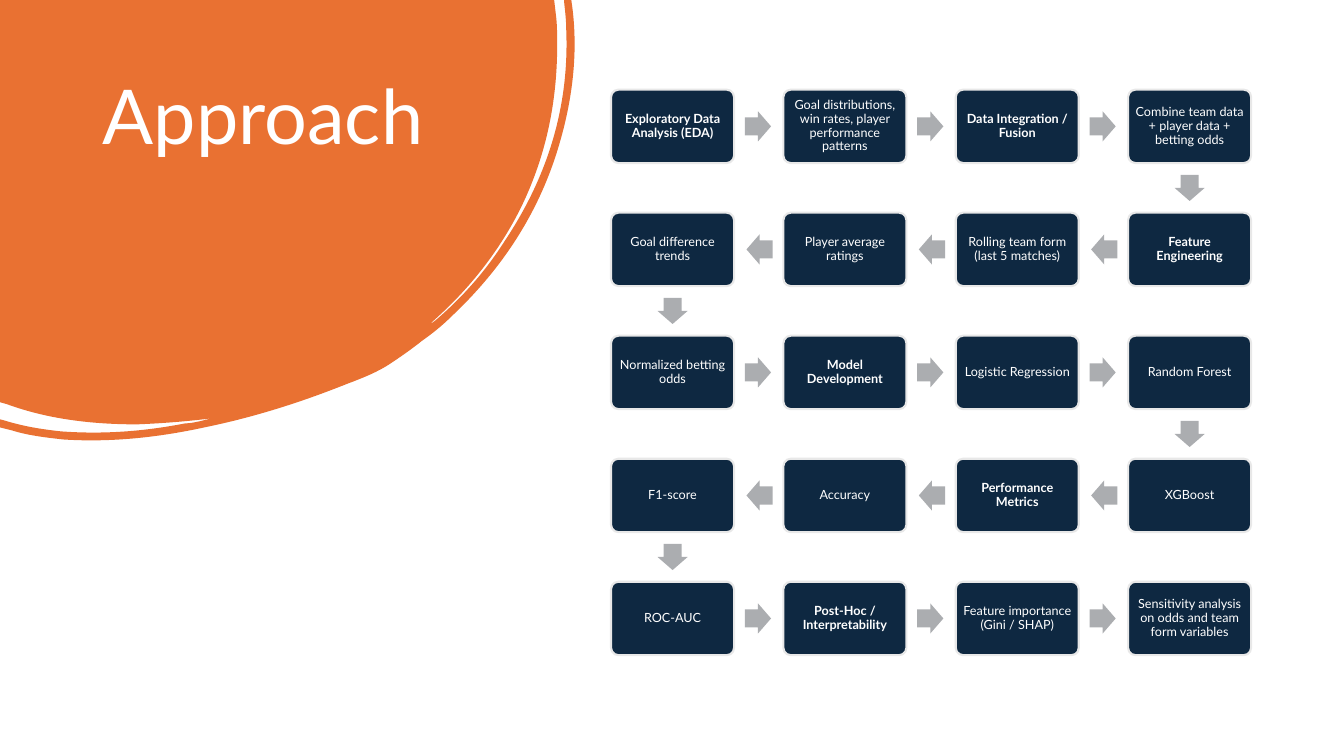
import pptx
import pptx.util
import pptx.dml.color
import pptx.enum.shapes
import pptx.enum.text
import pptx.oxml.ns
import pptx.oxml.xmlchemy

Cm = pptx.util.Cm
Pt = pptx.util.Pt
RGBColor = pptx.dml.color.RGBColor
MSO_SHAPE = pptx.enum.shapes.MSO_SHAPE

ORANGE = RGBColor(0xE9, 0x71, 0x32)
NAVY = RGBColor(0x0E, 0x28, 0x41)
ARROW_GRAY = RGBColor(0xAB, 0xAD, 0xB0)
BORDER_GRAY = RGBColor(0xE8, 0xE8, 0xE8)
WHITE = RGBColor(0xFF, 0xFF, 0xFF)
FONT = "Lato"

STEPS = [
    ("Exploratory Data Analysis (EDA)", True),
    ("Goal distributions, win rates, player performance patterns", False),
    ("Data Integration / Fusion", True),
    ("Combine team data + player data + betting odds", False),
    ("Feature Engineering", True),
    ("Rolling team form (last 5 matches)", False),
    ("Player average ratings", False),
    ("Goal difference trends", False),
    ("Normalized betting odds", False),
    ("Model Development", True),
    ("Logistic Regression", False),
    ("Random Forest", False),
    ("XGBoost", False),
    ("Performance Metrics", True),
    ("Accuracy", False),
    ("F1-score", False),
    ("ROC-AUC", False),
    ("Post-Hoc / Interpretability", True),
    ("Feature importance (Gini / SHAP)", False),
    ("Sensitivity analysis on odds and team form variables", False),
]
COLUMNS = 4
ROWS = len(STEPS) // COLUMNS
STEP_WIDTH, STEP_HEIGHT = Cm(3.1), Cm(1.85)
ARROW_WIDTH, ARROW_HEIGHT = Cm(0.66), Cm(0.76)
ARROW_SHIFT = Cm(0.02)

BLOB_SIZE = (5.71, 4.37)
BLOB_SEGMENTS = [
    [(0, 0)],
    [(5.5, 0)],
    [(5.52, 0.17)],
    [(5.53, 0.26), (5.53, 0.36), (5.53, 0.45)],
    [(5.53, 1.01), (5.42, 1.54), (5.18, 2.04)],
    [(4.96, 2.49), (4.65, 2.88), (4.27, 3.21)],
    [(4.29, 3.21), (4.3, 3.19), (4.32, 3.18)],
    [(4.59, 2.95), (4.82, 2.69), (5.01, 2.39)],
    [(5.43, 1.76), (5.65, 1.07), (5.62, 0.3)],
    [(5.62, 0.21), (5.61, 0.12), (5.6, 0.03)],
    [(5.6, 0)],
    [(5.67, 0)],
    [(5.68, 0.07)],
    [(5.74, 0.54), (5.68, 1.02), (5.53, 1.5)],
    [(5.33, 2.14), (4.97, 2.68), (4.48, 3.14)],
    [(4.39, 3.23), (4.29, 3.31), (4.19, 3.38)],
    [(4.09, 3.46), (3.99, 3.53), (3.87, 3.61)],
    [(3.75, 3.69), (3.6, 3.75), (3.44, 3.81)],
    [(2.99, 3.99), (2.52, 4.14), (2.03, 4.24)],
    [(1.57, 4.34), (1.1, 4.39), (0.63, 4.36)],
    [(0.45, 4.34), (0.28, 4.32), (0.12, 4.27)],
    [(0, 4.24)],
    [(0, 4.16)],
    [(0.04, 4.17)],
    [(0.23, 4.23), (0.42, 4.26), (0.61, 4.28)],
    [(1.03, 4.31), (1.43, 4.28), (1.84, 4.2)],
    [(1.89, 4.2), (1.93, 4.19), (1.98, 4.18)],
    [(2.02, 4.17), (2.06, 4.16), (2.1, 4.15)],
    [(1.86, 4.18), (1.61, 4.2), (1.36, 4.21)],
    [(0.92, 4.21), (0.48, 4.16), (0.07, 4.01)],
    [(0, 3.99)],
]


def paint(shape, color):
    shape.shadow.inherit = False
    shape.fill.solid()
    shape.fill.fore_color.rgb = color
    shape.line.fill.background()


def write(paragraph, text, size, bold=False):
    paragraph.line_spacing = 0.9
    run = paragraph.add_run()
    run.text = text
    run.font.name = FONT
    run.font.size = Pt(size)
    run.font.bold = bold
    run.font.color.rgb = WHITE


def bend(shape, segments):
    lines = iter(list(shape.element.iter(pptx.oxml.ns.qn("a:lnTo"))))
    for segment in segments:
        corners = [next(lines) for point in segment]
        if len(corners) == 3:
            curve = pptx.oxml.xmlchemy.OxmlElement("a:cubicBezTo")
            corners[0].addprevious(curve)
            for corner in corners:
                curve.append(corner[0])
                corner.getparent().remove(corner)


def add_blob(slide, left, top, width, height):
    points = [(round(left + width * x / BLOB_SIZE[0]), round(top + height * y / BLOB_SIZE[1]))
              for segment in BLOB_SEGMENTS for x, y in segment]
    builder = slide.shapes.build_freeform(*points[0])
    builder.add_line_segments(points[1:], close=True)
    blob = builder.convert_to_shape()
    bend(blob, BLOB_SEGMENTS[1:])
    paint(blob, ORANGE)
    slide.shapes.title.element.addprevious(blob.element)


def format_title(slide, left, top, width, height):
    title = slide.shapes.title
    title.left, title.top, title.width, title.height = left, top, width, height
    frame = title.text_frame
    frame.word_wrap = True
    frame.auto_size = pptx.enum.text.MSO_AUTO_SIZE.NONE
    frame.vertical_anchor = pptx.enum.text.MSO_ANCHOR.TOP
    paragraph = frame.paragraphs[0]
    paragraph.alignment = pptx.enum.text.PP_ALIGN.LEFT
    write(paragraph, "Approach", 54)


def add_step(slide, center_x, center_y, text, bold):
    step = slide.shapes.add_shape(MSO_SHAPE.ROUNDED_RECTANGLE, center_x - STEP_WIDTH // 2,
                                  center_y - STEP_HEIGHT // 2, STEP_WIDTH, STEP_HEIGHT)
    step.adjustments[0] = 0.1
    paint(step, NAVY)
    step.line.color.rgb = BORDER_GRAY
    step.line.width = Pt(1.5)
    frame = step.text_frame
    frame.word_wrap = True
    frame.vertical_anchor = pptx.enum.text.MSO_ANCHOR.MIDDLE
    frame.margin_left = frame.margin_right = Cm(0.1)
    frame.margin_top = frame.margin_bottom = Cm(0.1)
    paragraph = frame.paragraphs[0]
    paragraph.alignment = pptx.enum.text.PP_ALIGN.CENTER
    write(paragraph, text, 9, bold)


def add_arrow(slide, center_x, center_y, rotation):
    arrow = slide.shapes.add_shape(MSO_SHAPE.RIGHT_ARROW, center_x - ARROW_WIDTH // 2,
                                   center_y - ARROW_HEIGHT // 2, ARROW_WIDTH, ARROW_HEIGHT)
    arrow.adjustments[0] = 0.6
    arrow.adjustments[1] = 0.5
    arrow.rotation = rotation
    paint(arrow, ARROW_GRAY)


def add_workflow(slide, left, top, width, height):
    pitch_x = (width - STEP_WIDTH) // (COLUMNS - 1)
    pitch_y = (height - STEP_HEIGHT) // (ROWS - 1)
    centers = []
    for index in range(len(STEPS)):
        row, column = divmod(index, COLUMNS)
        if row % 2:
            column = COLUMNS - 1 - column
        centers.append((left + STEP_WIDTH // 2 + column * pitch_x,
                        top + STEP_HEIGHT // 2 + row * pitch_y))
    for index, ((x, y), (text, bold)) in enumerate(zip(centers, STEPS)):
        add_step(slide, x, y, text, bold)
        if index + 1 == len(STEPS):
            break
        next_x, next_y = centers[index + 1]
        if next_y > y:
            add_arrow(slide, x, (y + next_y) // 2, 90)
        elif next_x > x:
            add_arrow(slide, (x + next_x) // 2 - ARROW_SHIFT, y, 0)
        else:
            add_arrow(slide, (x + next_x) // 2 + ARROW_SHIFT, y, 180)


def main():
    presentation = pptx.Presentation()
    presentation.slide_width = Cm(33.87)
    presentation.slide_height = Cm(19.05)
    slide = presentation.slides.add_slide(presentation.slide_layouts[5])
    add_blob(slide, Cm(0), Cm(0), Cm(14.5), Cm(11.1))
    format_title(slide, Cm(2.34), Cm(1.88), Cm(8.94), Cm(5.64))
    add_workflow(slide, Cm(15.4), Cm(2.26), Cm(16.13), Cm(14.25))
    presentation.save("out.pptx")


if __name__ == "__main__":
    main()
